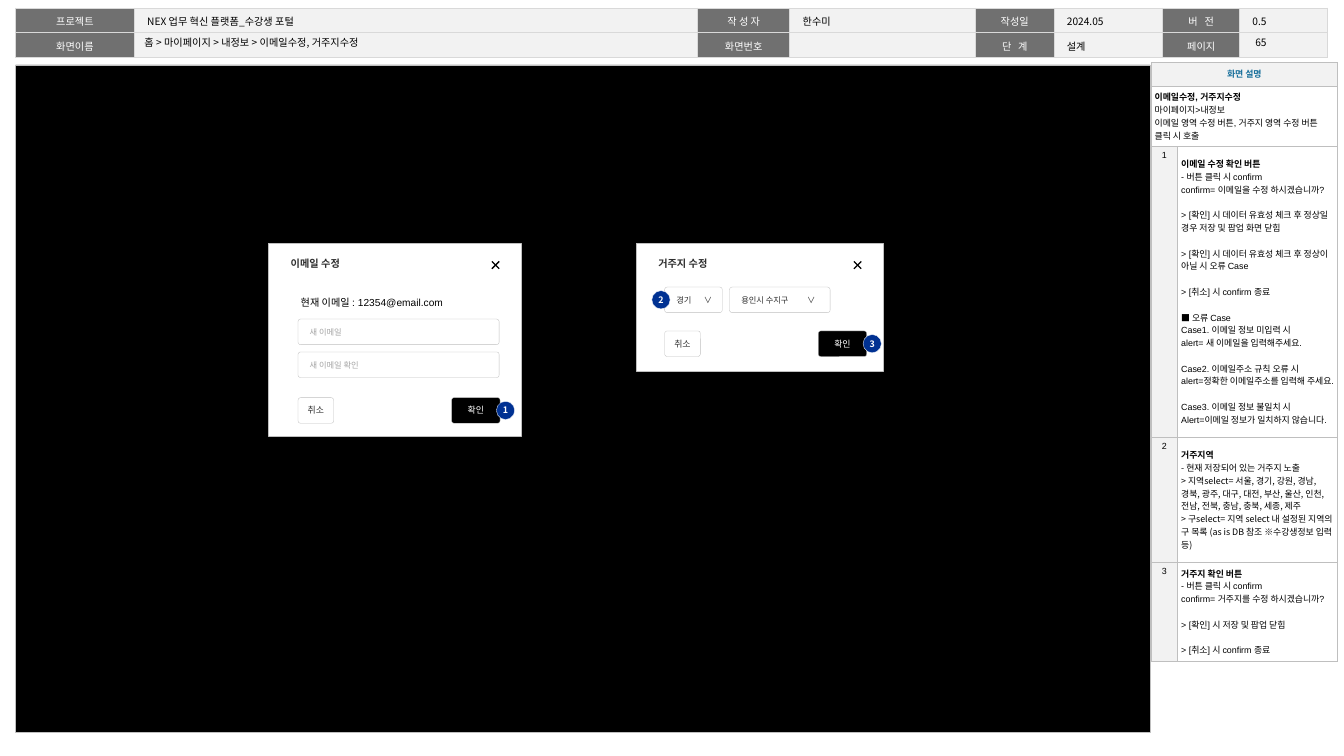
import dataclasses

import lxml.etree
import pptx
import pptx.dml.color
import pptx.enum.shapes
import pptx.enum.text
import pptx.oxml.ns
import pptx.util

Inches = pptx.util.Inches
Pt = pptx.util.Pt
qn = pptx.oxml.ns.qn
SHAPE = pptx.enum.shapes.MSO_SHAPE
ALIGN = pptx.enum.text.PP_ALIGN
ANCHOR = pptx.enum.text.MSO_ANCHOR


@dataclasses.dataclass(frozen=True)
class Theme:
    sans: str = "Noto Sans CJK KR"
    arial: str = "Arial"
    white: str = "FFFFFF"
    black: str = "000000"
    ink: str = "2E2E2E"
    hint: str = "A6A6A6"
    label: str = "707070"
    panel: str = "F2F2F2"
    grid: str = "D9D9D9"
    border: str = "BFBFBF"
    accent: str = "176F9B"
    badge: str = "003192"
    body: float = 8
    note: float = 7
    field: float = 6.5
    gap: float = 10


T = Theme()


def rgb(color):
    return pptx.dml.color.RGBColor.from_string(color)


def write(tf, text, size=T.note, color=T.black, font=T.arial, bold=False,
          align=ALIGN.LEFT, before=0, leading=None, tracking=0, tab=None):
    p = tf.paragraphs[0] if not tf.text else tf.add_paragraph()
    p.alignment = align
    p.space_before = Pt(before)
    if leading:
        p.line_spacing = leading
    if tab:
        tabs = lxml.etree.SubElement(p._p.get_or_add_pPr(), qn("a:tabLst"))
        lxml.etree.SubElement(tabs, qn("a:tab"), pos=str(Inches(tab)), algn="l")
    if not text:
        lxml.etree.SubElement(p._p, qn("a:endParaRPr"), sz=str(int(size * 100)))
        return
    r = p.add_run()
    r.text = text
    r.font.size = Pt(size)
    r.font.name = font
    r.font.bold = bold
    r.font.color.rgb = rgb(color)
    rPr = r.font._element
    rPr.find(qn("a:latin")).addnext(rPr.makeelement(qn("a:ea"), {"typeface": T.sans}))
    if tracking:
        rPr.set("spc", str(tracking))


def set_frame(tf, insets, anchor=ANCHOR.MIDDLE, wrap=True):
    tf.margin_left, tf.margin_top, tf.margin_right, tf.margin_bottom = map(Inches, insets)
    tf.vertical_anchor = anchor
    tf.word_wrap = wrap


def add_box(slide, kind, box, fill, weight=0.25, line=T.border):
    sp = slide.shapes.add_shape(kind, *map(Inches, box))
    sp.shadow.inherit = False
    sp.fill.solid()
    sp.fill.fore_color.rgb = rgb(fill)
    sp.line.color.rgb = rgb(line)
    sp.line.width = Pt(weight)
    return sp


def add_grid(slide, left, top, widths, heights):
    frame = slide.shapes.add_table(len(heights), len(widths), Inches(left), Inches(top),
                                   Inches(sum(widths)), Inches(sum(heights)))
    table = frame.table
    table.first_row = table.horz_banding = False
    for col, width in zip(table.columns, widths):
        col.width = Inches(width)
    for row, height in zip(table.rows, heights):
        row.height = Inches(height)
    return table


def style_cell(cell, fill, border, weight, side, anchor=ANCHOR.TOP):
    tcPr = cell._tc.get_or_add_tcPr()
    for edge in ("lnL", "lnR", "lnT", "lnB"):
        ln = lxml.etree.SubElement(tcPr, qn("a:" + edge), w=str(Pt(weight)))
        solid = lxml.etree.SubElement(ln, qn("a:solidFill"))
        lxml.etree.SubElement(solid, qn("a:srgbClr"), val=border)
    cell.fill.solid()
    cell.fill.fore_color.rgb = rgb(fill)
    cell.margin_left = cell.margin_right = Inches(side)
    cell.margin_top = cell.margin_bottom = Inches(0.05)
    cell.vertical_anchor = anchor


def add_header(slide, left, top):
    rows = [
        ["프로젝트", "NEX 업무 혁신 플랫폼_수강생 포털", "작 성 자", "한수미",
         "작성일", "2024.05", "버 전", "0.5"],
        ["화면이름", "", "화면번호", "", "단 계", "설계", "페이지", ""],
    ]
    table = add_grid(slide, left, top, [1.3, 6.16, 1.01, 2.03, 0.86, 1.19, 0.84, 0.96], [0.27, 0.27])
    for i, row in enumerate(rows):
        for j, text in enumerate(row):
            is_label = j % 2 == 0
            cell = table.cell(i, j)
            style_cell(cell, T.label if is_label else T.panel, T.grid, 1, 0.14)
            write(cell.text_frame, text, size=T.body, font=T.sans, leading=1.05,
                  color=T.white if is_label else T.black,
                  align=ALIGN.CENTER if is_label else ALIGN.LEFT,
                  tracking=180 if text in ("버 전", "단 계") else 0)
    title = slide.shapes.title
    title.element.getparent().append(title.element)
    page = slide.shapes.add_textbox(Inches(left + 13.45), Inches(top + 0.29), Inches(0.72), Inches(0.16))
    title.left, title.top, title.width, title.height = map(Inches, (left + 1.3, top + 0.29, 5.91, 0.16))
    for sp, text in ((title, "홈 > 마이페이지 > 내정보 > 이메일수정, 거주지수정"), (page, "65")):
        set_frame(sp.text_frame, (0.11, 0.05, 0.11, 0.05))
        sp.text_frame.auto_size = pptx.enum.text.MSO_AUTO_SIZE.NONE
        write(sp.text_frame, text, size=T.body, font=T.sans)


def add_notes_panel(slide, left, top):
    intro = ["이메일수정, 거주지수정", "마이페이지>내정보",
             "이메일 영역 수정 버튼, 거주지 영역 수정 버튼 클릭 시 호출"]
    groups = [
        (T.arial, T.arial, [
            ["이메일 수정 확인 버튼", "- 버튼 클릭 시 confirm", "confirm= 이메일을 수정 하시겠습니까?"],
            ["> [확인] 시 데이터 유효성 체크 후 정상일 경우 저장 및 팝업 화면 닫힘"],
            ["> [확인] 시 데이터 유효성 체크 후 정상이 아닐 시 오류 Case"],
            ["> [취소] 시 confirm 종료"],
            ["■ 오류 Case", "Case1. 이메일 정보 미입력 시", "alert= 새 이메일을 입력해주세요."],
            ["Case2. 이메일주소 규칙 오류 시", "alert=정확한 이메일주소를 입력해 주세요."],
            ["Case3. 이메일 정보 불일치 시", "Alert=이메일 정보가 일치하지 않습니다."]]),
        (T.sans, T.sans, [
            ["거주지역", "- 현재 저장되어 있는 거주지 노출",
             "> 지역select= 서울, 경기, 강원, 경남, 경북, 광주, 대구, 대전, 부산, "
             "울산, 인천, 전남, 전북, 충남, 충북, 세종, 제주",
             "> 구select= 지역 select 내 설정된 지역의 구 목록 (as is DB 참조 ※수강생정보 입력 등)"]]),
        (T.sans, T.arial, [
            ["거주지 확인 버튼", "- 버튼 클릭 시 confirm", "confirm= 거주지를 수정 하시겠습니까?"],
            ["> [확인] 시 저장 및 팝업 닫힘"],
            ["> [취소] 시 confirm 종료"]]),
    ]
    table = add_grid(slide, left, top, [0.29, 1.75], [0.26, 0.66, 3.18, 1.37, 1.08])
    for i in range(5):
        for j in range(2):
            shaded = i == 0 or (i > 1 and j == 0)
            middle = i == 0 or (i > 1 and j == 1)
            style_cell(table.cell(i, j), T.panel if shaded else T.white, T.border, 0.25, 0.04,
                       ANCHOR.MIDDLE if middle else ANCHOR.TOP)
    for i in range(2):
        table.cell(i, 0).merge(table.cell(i, 1))
    write(table.cell(0, 0).text_frame, "화면 설명", color=T.accent, font=T.sans, bold=True,
          align=ALIGN.CENTER)
    for k, line in enumerate(intro):
        write(table.cell(1, 0).text_frame, line, bold=k == 0)
    for number, (head_font, body_font, blocks) in enumerate(groups, 1):
        write(table.cell(number + 1, 0).text_frame, str(number), align=ALIGN.CENTER)
        tf = table.cell(number + 1, 1).text_frame
        for b, block in enumerate(blocks):
            for k, line in enumerate(block):
                head = b == k == 0
                write(tf, line, font=head_font if head else body_font, bold=head,
                      before=T.gap if b and k == 0 else 0)


def add_control(slide, box, text, fill=T.white, color=T.ink, size=T.field,
                align=ALIGN.LEFT, side=0.12, tab=None):
    sp = add_box(slide, SHAPE.ROUNDED_RECTANGLE, box, fill)
    sp.adjustments[0] = 0.1
    set_frame(sp.text_frame, (side, 0, min(side, 0.08), 0))
    write(sp.text_frame, text, size=size, color=color, align=align, tab=tab)


def add_badge(slide, left, top, number):
    sp = add_box(slide, SHAPE.OVAL, (left, top, 0.2, 0.2), T.badge, line=T.white)
    set_frame(sp.text_frame, (0, 0, 0, 0))
    write(sp.text_frame, str(number), color=T.white, font=T.sans, bold=True, align=ALIGN.CENTER)


def add_popup(slide, box, title, margin, button_top, number):
    left, top, width, height = box
    sp = add_box(slide, SHAPE.RECTANGLE, box, T.white, 0.5)
    set_frame(sp.text_frame, (0.24, 0.16, 0.16, 0.05), ANCHOR.TOP)
    write(sp.text_frame, title, size=T.body, color=T.ink, font=T.sans, bold=True)
    close = slide.shapes.add_group_shape()
    x, y, d = left + width - 0.32, top + 0.2, 0.08
    for ends in ((x, y, x + d, y + d), (x + d, y, x, y + d)):
        line = close.shapes.add_connector(pptx.enum.shapes.MSO_CONNECTOR.STRAIGHT, *map(Inches, ends))
        line.line.color.rgb = rgb(T.black)
        line.line.width = Pt(1)
        lxml.etree.SubElement(line._element.spPr, qn("a:effectLst"))
    x, y = left + margin, top + button_top
    button = dict(size=T.note, align=ALIGN.CENTER, side=0.04)
    add_control(slide, (x, y, 0.39, 0.28), "취소", **button)
    add_control(slide, (x + 1.68, y, 0.53, 0.28), "확인", fill=T.black, color=T.white, **button)
    add_badge(slide, x + 2.17, y + 0.04, number)


def add_email_popup(slide, left, top):
    add_popup(slide, (left, top, 2.76, 2.11), "이메일 수정", 0.32, 1.69, 1)
    current = slide.shapes.add_textbox(Inches(left + 0.25), Inches(top + 0.53), Inches(1.85), Inches(0.24))
    set_frame(current.text_frame, (0.1, 0.05, 0.1, 0.05), ANCHOR.TOP, wrap=False)
    write(current.text_frame, "현재 이메일 : 12354@email.com", size=T.body)
    for i, hint in enumerate(("새 이메일", "새 이메일 확인")):
        add_control(slide, (left + 0.32, top + 0.83 + 0.36 * i, 2.2, 0.28), hint, color=T.hint)


def add_residence_popup(slide, left, top):
    add_popup(slide, (left, top, 2.7, 1.4), "거주지 수정", 0.31, 0.96, 3)
    for x, width, text, tab in ((0.31, 0.63, "경기", 0.3), (1.02, 1.1, "용인시 수지구", 0.72)):
        add_control(slide, (left + x, top + 0.48, width, 0.28), text + "\t∨", tab=tab)
    add_badge(slide, left + 0.17, top + 0.52, 2)


def main():
    prs = pptx.Presentation()
    prs.slide_width, prs.slide_height = Inches(14.7), Inches(8.27)
    slide = prs.slides.add_slide(prs.slide_layouts[5])
    add_header(slide, 0.17, 0.09)
    add_box(slide, SHAPE.RECTANGLE, (0.17, 0.71, 12.41, 7.3), T.black, 0.5)
    add_notes_panel(slide, 12.59, 0.68)
    add_email_popup(slide, 2.94, 2.66)
    add_residence_popup(slide, 6.96, 2.66)
    prs.save("out.pptx")


if __name__ == "__main__":
    main()
